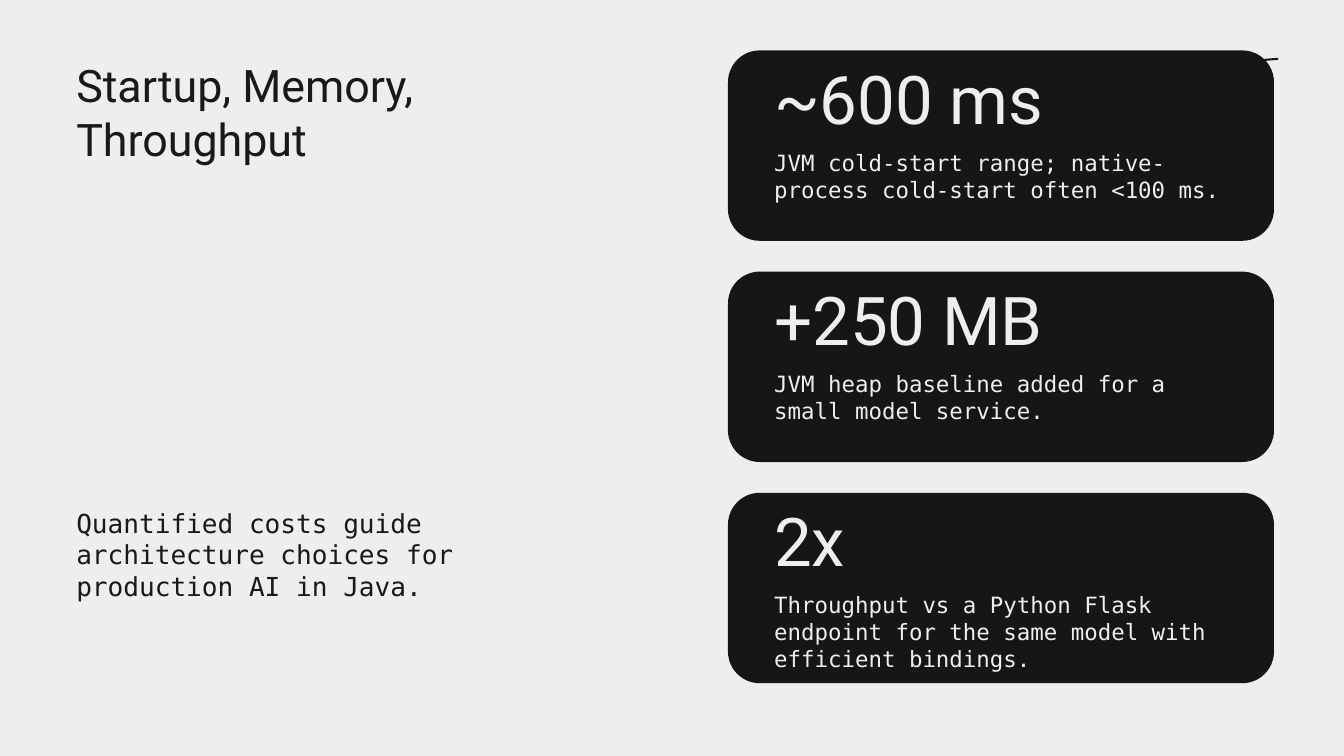
from lxml import etree
from pptx import Presentation
from pptx import util as u
from pptx.dml.color import RGBColor
from pptx.enum import shapes, text
from pptx.oxml.ns import qn

PX = 9525
PAPER = RGBColor(0xEE, 0xEE, 0xEE)
INK = RGBColor(0x19, 0x19, 0x19)
CARD = RGBColor(0x16, 0x16, 0x16)
SANS = "Roboto"
MONO = "DejaVu Sans Mono"
LINE_RATIO = 1.2

CARD_LEFT, CARD_TOP = 1040, 72
CARD_WIDTH, CARD_HEIGHT = 780, 272
CARD_PITCH = 316
METRICS = [
    ("~600 ms", "JVM cold-start range; native-process cold-start often <100 ms."),
    ("+250 MB", "JVM heap baseline added for a small model service."),
    ("2x", "Throughput vs a Python Flask endpoint for the same model with efficient bindings."),
]


def px(*lengths):
    return [u.Emu(length * PX) for length in lengths]


def add_text(page, area, wording, font, size, color):
    box = page.shapes.add_textbox(*px(*area))
    frame = box.text_frame
    frame.margin_left = frame.margin_top = frame.margin_right = frame.margin_bottom = 0
    frame.word_wrap = True
    frame.auto_size = text.MSO_AUTO_SIZE.SHAPE_TO_FIT_TEXT
    frame.text = wording
    para = frame.paragraphs[0]
    para.line_spacing = u.Pt(size * LINE_RATIO)
    span = para.runs[0]
    span.font.name = font
    span.font.size = u.Pt(size)
    span.font.color.rgb = color


def add_accent_line(page, start, end):
    line = page.shapes.add_connector(
        shapes.MSO_CONNECTOR.STRAIGHT, *px(*start, *end))
    line.line.color.rgb = INK
    line.line.width = u.Pt(2.25)
    etree.SubElement(line._element.spPr, qn("a:effectLst"))


def add_card(page, top):
    card = page.shapes.add_shape(
        shapes.MSO_SHAPE.ROUNDED_RECTANGLE,
        *px(CARD_LEFT, top, CARD_WIDTH, CARD_HEIGHT))
    card.shadow.inherit = False
    card.fill.solid()
    card.fill.fore_color.rgb = CARD
    card.line.fill.background()


def add_metric(page, top, value, caption):
    add_card(page, top)
    left = CARD_LEFT + 66
    add_text(page, (left, top + 10, 649, 141), value, SANS, 72, PAPER)
    add_text(page, (left, top + 141, 649, 98), caption, MONO, 24, PAPER)


def main():
    deck = Presentation()
    deck.slide_width, deck.slide_height = px(1920, 1080)
    page = deck.slides.add_slide(deck.slide_layouts[6])
    page.background.fill.solid()
    page.background.fill.fore_color.rgb = PAPER

    add_accent_line(page, (1826, 84), (1739, 91))
    add_text(page, (109, 83, 741, 146), "Startup, Memory, Throughput", SANS, 48, INK)
    add_text(page, (109, 725, 741, 112),
             "Quantified costs guide architecture choices for production AI in Java.",
             MONO, 28, INK)
    for index, (value, caption) in enumerate(METRICS):
        add_metric(page, CARD_TOP + index * CARD_PITCH, value, caption)

    deck.save("out.pptx")


if __name__ == "__main__":
    main()
